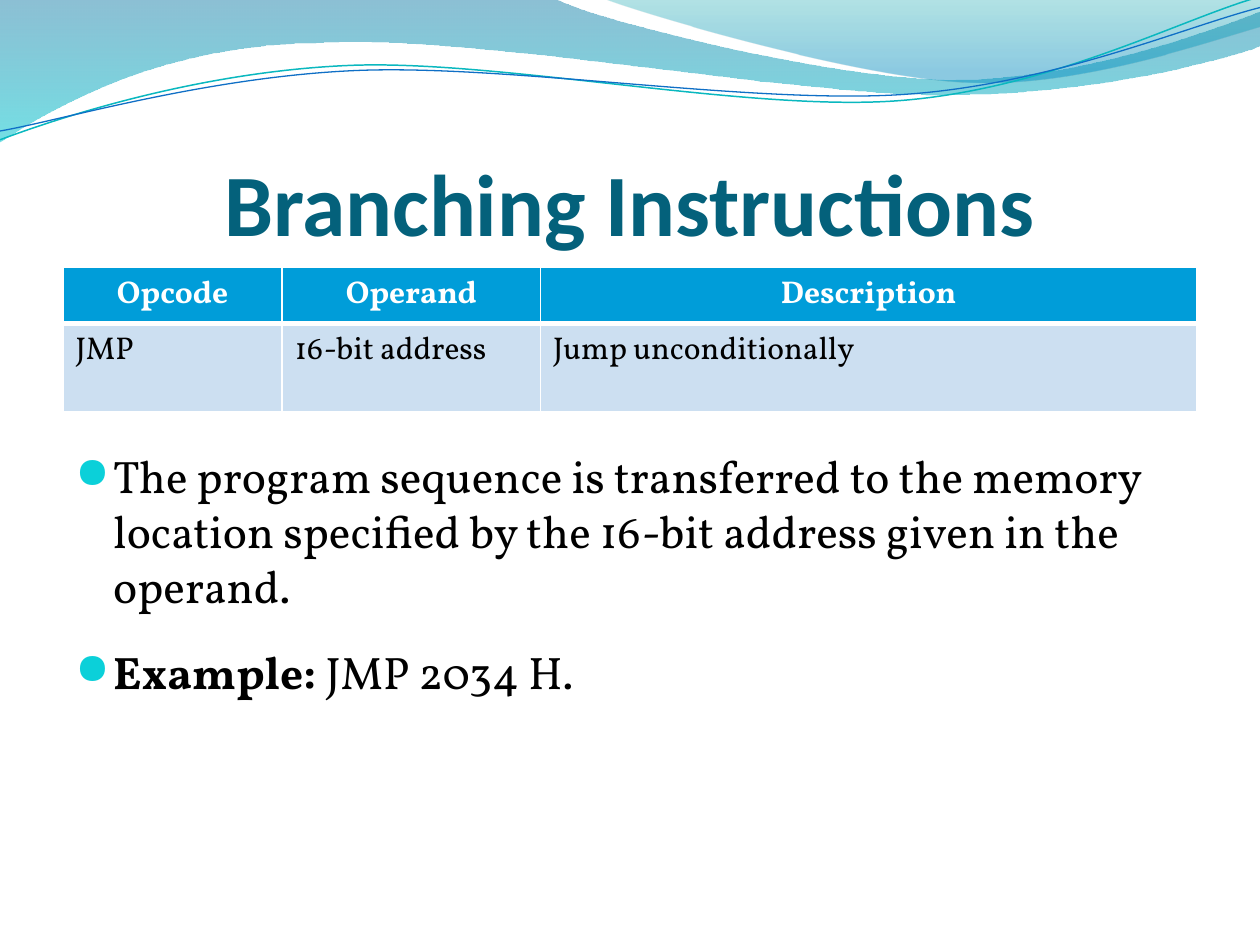
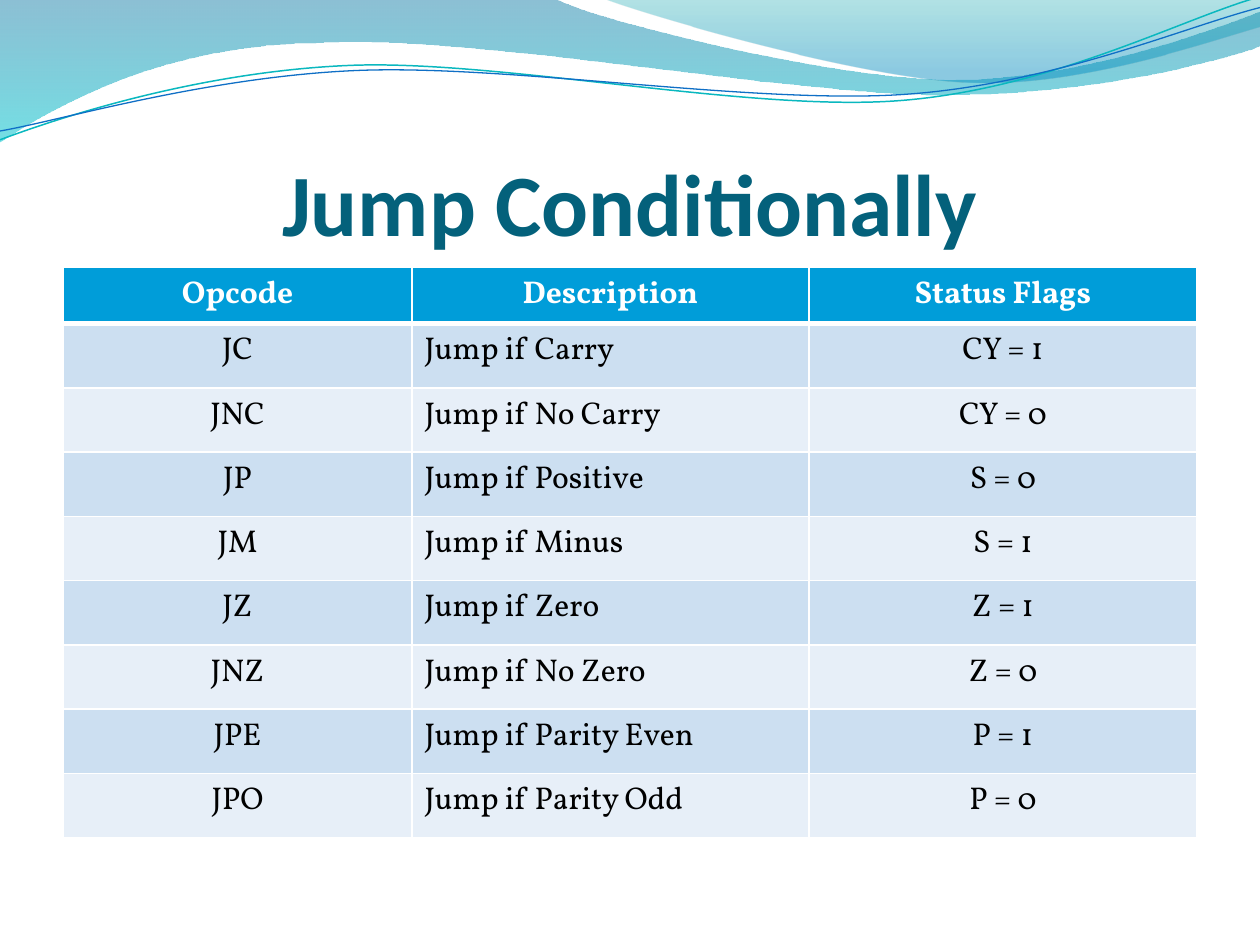
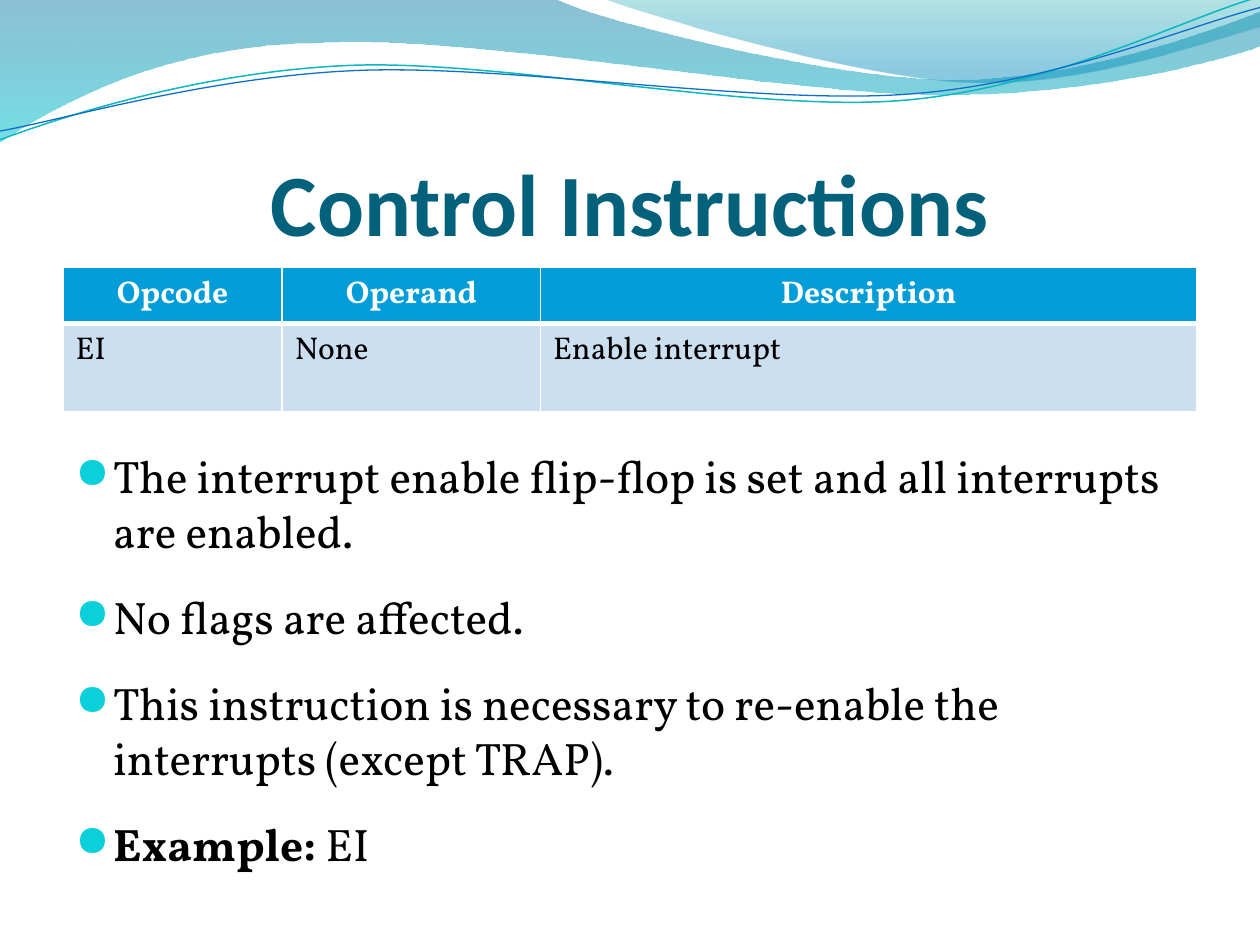
from lxml import etree
from pptx import Presentation
from pptx.dml.color import RGBColor
from pptx.enum import text
from pptx.oxml.ns import qn
from pptx.util import Inches, Pt

TITLE_FONT, BODY_FONT, BULLET_FONT = "Calibri", "Vollkorn", "OpenSymbol"
TITLE_COLOR, BULLET_COLOR = "04617B", "0BD0D9"
HEADER_FILL, ROW_FILLS = "009DD9", ("CCDFF1", "E7EFF8")
WHITE, BLACK = "FFFFFF", "000000"
LEFT, CENTER = text.PP_ALIGN.LEFT, text.PP_ALIGN.CENTER

BROAD_WAVE = [
    [(0, -0.01)], [(4.4, -0.01)],
    [(4.76, 0.17), (6.64, 0.63), (7.58, 0.63)],
    [(8.53, 0.63), (9.58, 0.26), (10, 0.09)],
    [(10.01, 0.36)],
    [(9.83, 0.44), (8.7, 0.76), (7.46, 0.75)],
    [(6.22, 0.75), (3.82, 0.28), (2.57, 0.34)],
    [(1.29, 0.35), (0.46, 0.83), (-0.01, 1.13)],
    [(0, -0.01)],
]
RIGHT_WAVE = [
    [(4.79, -0.01)],
    [(5.09, 0.11), (6.82, 0.62), (7.69, 0.65)],
    [(8.56, 0.69), (9.61, 0.32), (10, 0.21)],
    [(10, 0)],
    [(4.79, -0.01)],
]
TEAL_CURVE = [
    [(0, 1.11)],
    [(0.48, 0.93), (1.58, 0.57), (2.77, 0.52)],
    [(3.95, 0.47), (5.93, 0.89), (7.13, 0.8)],
    [(8.33, 0.71), (9.38, 0.15), (9.98, -0.02)],
]
BLUE_CURVE = [
    [(0, 1.04)],
    [(0.47, 0.96), (1.64, 0.61), (2.83, 0.56)],
    [(4.03, 0.51), (5.97, 0.83), (7.17, 0.75)],
    [(8.36, 0.67), (9.41, 0.21), (10, 0.06)],
]

OPERAND_HEADER = ("Opcode", "Operand", "Description")
OPERAND_COLUMNS = (1.74, 2.05, 5.21)
OPERAND_ALIGNS = (LEFT, LEFT, LEFT)
JUMPS = [
    ("JC", "Jump if Carry", "CY = 1"),
    ("JNC", "Jump if No Carry", "CY = 0"),
    ("JP", "Jump if Positive", "S = 0"),
    ("JM", "Jump if Minus", "S = 1"),
    ("JZ", "Jump if Zero", "Z = 1"),
    ("JNZ", "Jump if No Zero", "Z = 0"),
    ("JPE", "Jump if Parity Even", "P = 1"),
    ("JPO", "Jump if Parity Odd", "P = 0"),
]


def color(hex_value):
    return RGBColor.from_string(hex_value)


def set_font(paragraph, name, size, hex_value, bold=None):
    font = paragraph.font
    font.name, font.size, font.bold = name, Pt(size), bold
    font.color.rgb = color(hex_value)


def bend(outline, segments):
    steps = iter(list(outline._element.spPr.iter(qn("a:lnTo"))))
    for segment in segments[1:]:
        lines = [next(steps) for _ in segment]
        if len(lines) == 3:
            bezier = etree.Element(qn("a:cubicBezTo"))
            lines[0].addprevious(bezier)
            for line in lines:
                bezier.append(line[0])
                line.getparent().remove(line)


def add_outline(slide, segments, closed):
    start, *rest = [(Inches(x), Inches(y)) for segment in segments for x, y in segment]
    builder = slide.shapes.build_freeform(*start)
    builder.add_line_segments(rest, close=closed)
    outline = builder.convert_to_shape()
    outline.shadow.inherit = False
    bend(outline, segments)
    return outline


def add_wave(slide, segments, stops):
    wave = add_outline(slide, segments, True)
    wave.line.fill.background()
    wave.fill.gradient()
    wave.fill.gradient_angle = 270
    for stop, (position, hex_value, _) in zip(wave.fill.gradient_stops, stops):
        stop.position = position
        stop.color.rgb = color(hex_value)
    for tint, (_, _, opacity) in zip(wave._element.spPr.iter(qn("a:srgbClr")), stops):
        etree.SubElement(tint, qn("a:alpha"), val=str(opacity * 1000))


def add_curve(slide, segments, hex_value, width):
    curve = add_outline(slide, segments, False)
    curve.fill.background()
    curve.line.color.rgb = color(hex_value)
    curve.line.width = Pt(width)


def add_titled_slide(deck, heading):
    slide = deck.slides.add_slide(deck.slide_layouts[5])
    add_wave(slide, BROAD_WAVE, [(0, "0074A1", 45), (1, "00C6CF", 55)])
    add_wave(slide, RIGHT_WAVE, [(0, "00A1A9", 30), (0.8, "008BBF", 45)])
    add_curve(slide, TEAL_CURVE, "0AB8BF", 0.85)
    add_curve(slide, BLUE_CURVE, "0F6FC6", 0.75)
    title = slide.shapes.title
    title.left, title.top = Inches(0.5), Inches(0.77)
    title.width, title.height = Inches(9), Inches(1.25)
    frame = title.text_frame
    frame.text = heading
    frame.auto_size = text.MSO_AUTO_SIZE.NONE
    frame.vertical_anchor = text.MSO_ANCHOR.BOTTOM
    frame.margin_left = frame.margin_right = frame.margin_bottom = 0
    frame.margin_top = Inches(0.05)
    paragraph = frame.paragraphs[0]
    paragraph.alignment = CENTER
    set_font(paragraph, TITLE_FONT, 50, TITLE_COLOR, True)
    return slide


def set_borders(cell, bottom):
    properties = cell._tc.get_or_add_tcPr()
    for side, width in (("L", 1), ("R", 1), ("T", 1), ("B", bottom)):
        border = etree.SubElement(properties, qn(f"a:ln{side}"), w=str(Pt(width)))
        fill = etree.SubElement(border, qn("a:solidFill"))
        etree.SubElement(fill, qn("a:srgbClr"), val=WHITE)


def add_instruction_table(slide, header, rows, columns, aligns, heights):
    table = slide.shapes.add_table(
        len(rows) + 1, len(columns), Inches(0.5), Inches(2.12),
        Inches(sum(columns)), Inches(sum(heights))).table
    for column, width in zip(table.columns, columns):
        column.width = Inches(width)
    for row, height in zip(table.rows, heights):
        row.height = Inches(height)
    for r, values in enumerate([header, *rows]):
        is_header = r == 0
        for c, value in enumerate(values):
            cell = table.cell(r, c)
            set_borders(cell, 3 if is_header else 1)
            cell.fill.solid()
            cell.fill.fore_color.rgb = color(
                HEADER_FILL if is_header else ROW_FILLS[(r - 1) % 2])
            cell.text = value
            paragraph = cell.text_frame.paragraphs[0]
            paragraph.alignment = CENTER if is_header else aligns[c]
            set_font(paragraph, BODY_FONT, 18, WHITE if is_header else BLACK, is_header)


def add_bullet(paragraph):
    properties = paragraph._p.get_or_add_pPr()
    properties.set("marL", str(Inches(0.3)))
    properties.set("indent", str(-Inches(0.3)))
    tint = etree.SubElement(properties, qn("a:buClr"))
    etree.SubElement(tint, qn("a:srgbClr"), val=BULLET_COLOR)
    etree.SubElement(properties, qn("a:buSzPct"), val="95000")
    etree.SubElement(properties, qn("a:buFont"), typeface=BULLET_FONT)
    etree.SubElement(properties, qn("a:buChar"), char="●")


def add_explanation(slide, statements, example):
    frame = slide.shapes.add_textbox(
        Inches(0.5), Inches(3.51), Inches(9), Inches(3.4)).text_frame
    frame.word_wrap = True
    for index, statement in enumerate([*statements, "Example:"]):
        paragraph = frame.paragraphs[0] if index == 0 else frame.add_paragraph()
        add_bullet(paragraph)
        paragraph.space_after = Pt(18)
        set_font(paragraph, BODY_FONT, 26, BLACK)
        paragraph.add_run().text = statement
    paragraph.runs[0].font.bold = True
    paragraph.add_run().text = f" {example}"


def add_instruction_slide(deck, heading, instruction, statements, example):
    slide = add_titled_slide(deck, heading)
    add_instruction_table(slide, OPERAND_HEADER, [instruction],
                          OPERAND_COLUMNS, OPERAND_ALIGNS, (0.41, 0.7))
    add_explanation(slide, statements, example)


def main():
    deck = Presentation()
    deck.slide_width, deck.slide_height = Inches(10), Inches(7.5)

    add_instruction_slide(
        deck, "Branching Instructions",
        ("JMP", "16-bit address", "Jump unconditionally"),
        ["The program sequence is transferred to the memory location "
         "specified by the 16-bit address given in the operand."],
        "JMP 2034 H.")

    conditional = add_titled_slide(deck, "Jump Conditionally")
    add_instruction_table(
        conditional, ("Opcode", "Description", "Status Flags"), JUMPS,
        (2.77, 3.15, 3.08), (CENTER, LEFT, CENTER), [0.4] + [0.51] * len(JUMPS))

    add_instruction_slide(
        deck, "Control Instructions",
        ("EI", "None", "Enable interrupt"),
        ["The interrupt enable flip-flop is set and all interrupts are enabled.",
         "No flags are affected.",
         "This instruction is necessary to re-enable the interrupts (except TRAP)."],
        "EI")

    deck.save("out.pptx")


if __name__ == "__main__":
    main()
